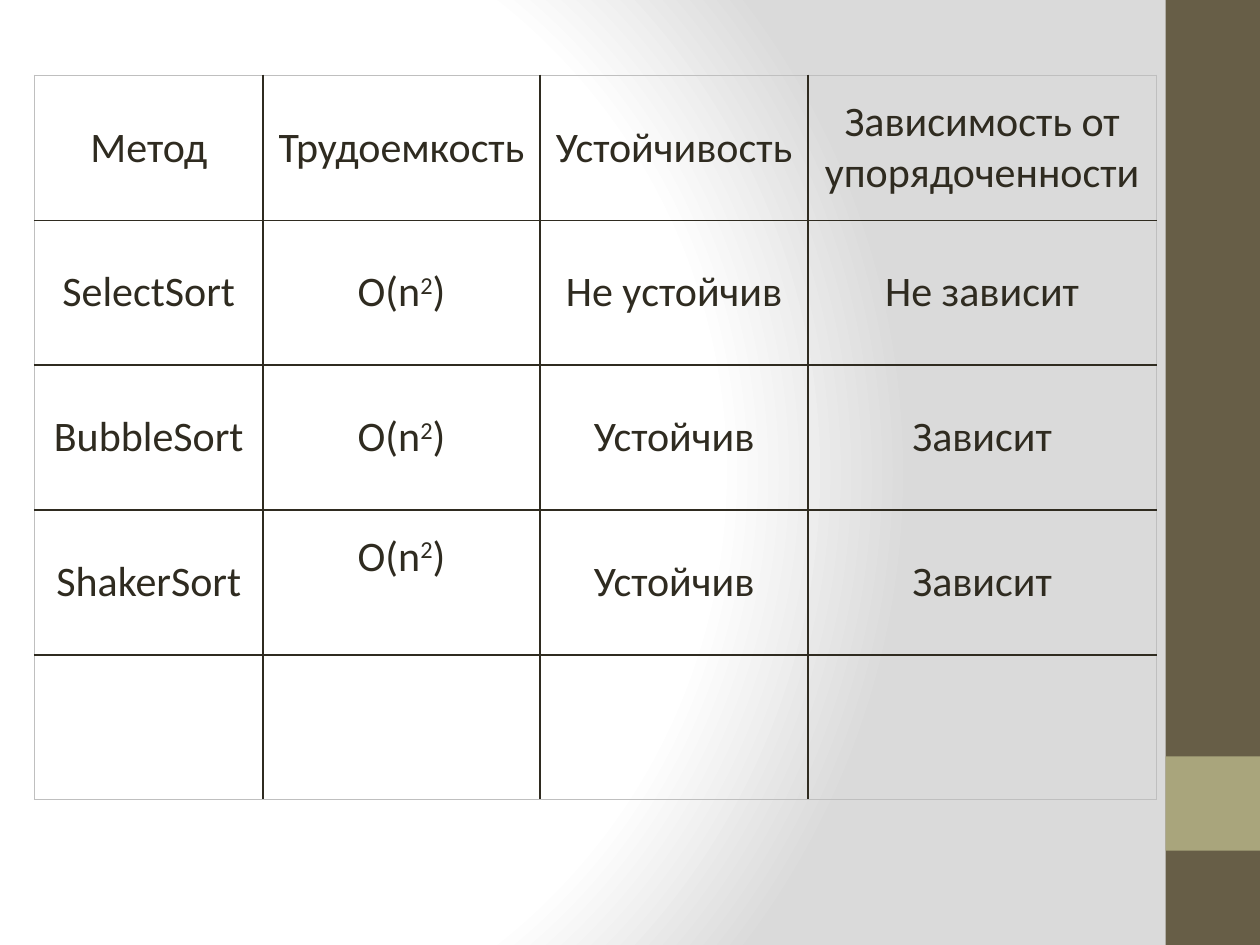
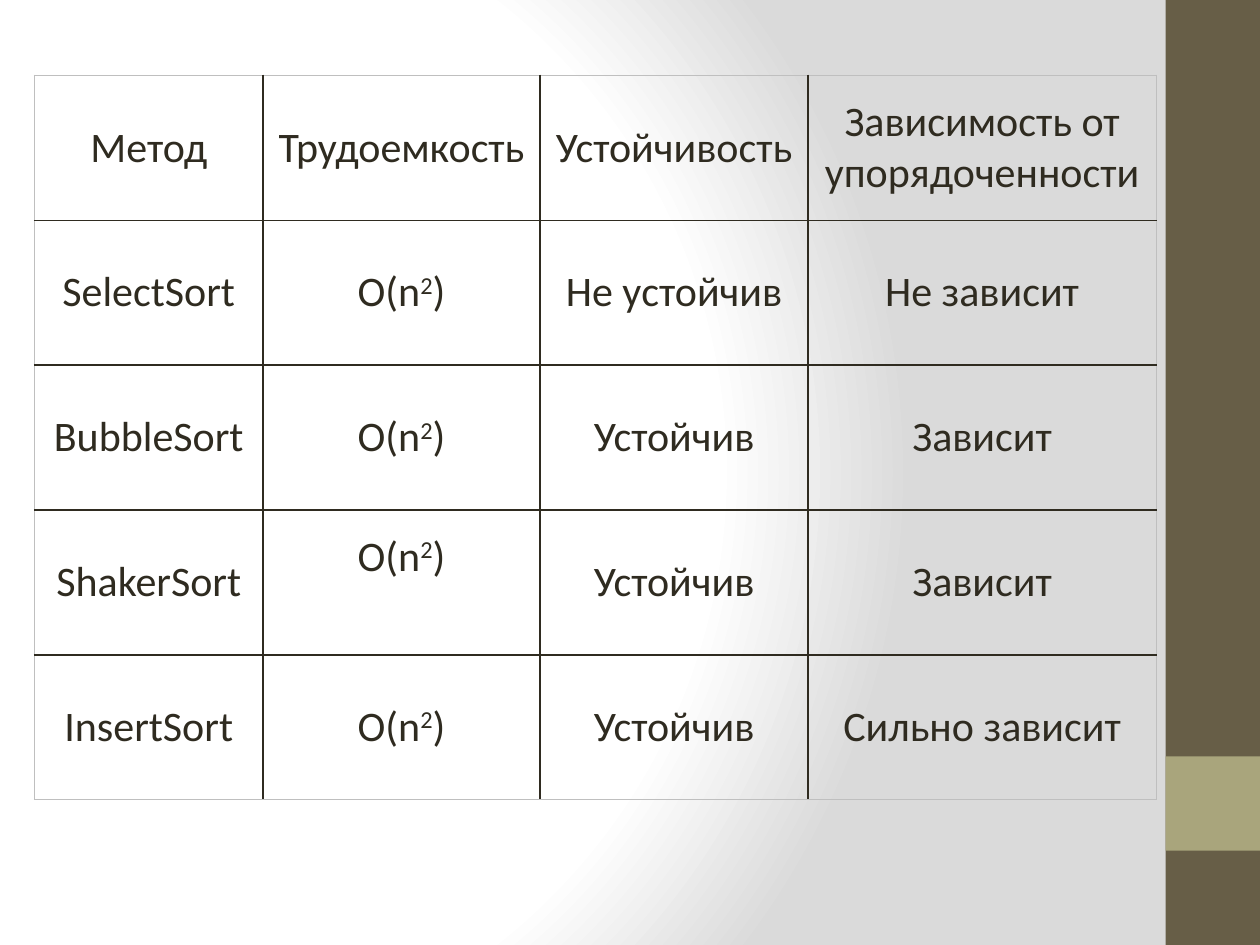
from dataclasses import dataclass

from lxml import etree
from pptx import Presentation
from pptx.dml.color import RGBColor
from pptx.enum import shapes, text
from pptx.oxml import parse_xml
from pptx.oxml.ns import nsdecls
from pptx.util import Cm, Pt


@dataclass(frozen=True)
class Theme:
    font: str = "Calibri"
    size: int = 24
    ink: str = "2F2B20"
    frame: str = "BFBFBF"
    band: str = "675E47"
    accent: str = "A9A57C"
    paper: str = "FFFFFF"
    shade: str = "DADADA"
    border_pt: float = 1


THEME = Theme()
WIDTH, HEIGHT = 25.4, 19.05  # slide, in cm
BAND_W = 1.9
TABLE_LEFT, TABLE_TOP = 0.7, 1.52
COLUMNS = (4.6, 5.59, 5.4, 7.02)
ROW_H = 2.92
RAISED_MARGIN = 1.15  # bottom margin that lifts a cell's text
NO_STYLE = "{2D5ABB26-0587-4C30-8999-92F81FD0307C}"

N_SQUARED = ("O(n", "2", ")")  # middle part is superscript
HEADER = ("Метод", "Трудоемкость", "Устойчивость", "Зависимость от упорядоченности")
SORTS = [
    ("SelectSort", N_SQUARED, "Не устойчив", "Не зависит"),
    ("BubbleSort", N_SQUARED, "Устойчив", "Зависит"),
    ("ShakerSort", N_SQUARED, "Устойчив", "Зависит"),
]
INSERT_SORT = ("InsertSort", N_SQUARED, "Устойчив", "Сильно зависит")
NOT_YET_SHOWN = ("",) * len(HEADER)
RAISED_CELL = (3, 1)


# Shared look, kept on the slide master
def set_background(master):
    master.background.fill.solid()
    bg_pr = master._element.cSld.bg.bgPr
    stops = ((0, THEME.paper), (75, THEME.paper), (100, THEME.shade))
    stop_xml = "".join(
        f'<a:gs pos="{pos * 1000}"><a:srgbClr val="{color}"/></a:gs>' for pos, color in stops)
    bg_pr.replace(bg_pr[0], parse_xml(
        f'<a:gradFill {nsdecls("a")} rotWithShape="1"><a:gsLst>{stop_xml}</a:gsLst>'
        '<a:path path="circle"><a:fillToRect l="20000" t="50000" r="100000" b="50000"/>'
        '</a:path></a:gradFill>'))


def add_band(master, s, top, height, color):
    """Draw a right-hand band and move it to the master."""
    sp = s.shapes.add_shape(shapes.MSO_SHAPE.RECTANGLE, Cm(WIDTH - BAND_W), Cm(top),
                            Cm(BAND_W), Cm(height))
    sp.shadow.inherit = False
    sp.fill.solid()
    sp.fill.fore_color.rgb = RGBColor.from_string(color)
    sp.line.fill.background()
    master.shapes._spTree.append(sp._element)


# Table parts
def write_cell(cell, parts):
    cell.vertical_anchor = text.MSO_ANCHOR.MIDDLE
    p = cell.text_frame.paragraphs[0]
    p.alignment = text.PP_ALIGN.CENTER
    for i, part in enumerate(parts):
        r = p.add_run()
        r.text = part
        r.font.name = THEME.font
        r.font.size = Pt(THEME.size)
        r.font.color.rgb = RGBColor.from_string(THEME.ink)
        if i == 1:
            r.font._element.set("baseline", "30000")


def set_borders(cell, outer):
    """Frame colour on outer sides, ink on inner ones."""
    tc_pr = cell._tc.get_or_add_tcPr()
    for i, side in enumerate("LRTB"):
        color = THEME.frame if side in outer else THEME.ink
        tc_pr.insert(i, parse_xml(
            f'<a:ln{side} {nsdecls("a")} w="{Pt(THEME.border_pt)}"><a:solidFill>'
            f'<a:srgbClr val="{color}"/></a:solidFill></a:ln{side}>'))


def add_sort_table(s, rows):
    frame = s.shapes.add_table(len(rows), len(COLUMNS), Cm(TABLE_LEFT), Cm(TABLE_TOP),
                               Cm(sum(COLUMNS)), Cm(ROW_H * len(rows)))
    table = frame.table
    table.first_row = table.horz_banding = False
    style = etree.QName(table._tbl.tblPr[0])
    table._tbl.tblPr.find(style.text).text = NO_STYLE
    for column, width in zip(table.columns, COLUMNS):
        column.width = Cm(width)
    for i, row in enumerate(rows):
        table.rows[i].height = Cm(ROW_H)
        for j, value in enumerate(row):
            cell = table.cell(i, j)
            cell.fill.background()
            edges = {"L": j == 0, "R": j == len(row) - 1, "T": i == 0, "B": i == len(rows) - 1}
            set_borders(cell, [side for side, is_outer in edges.items() if is_outer])
            if value:
                write_cell(cell, (value,) if isinstance(value, str) else value)
    table.cell(*RAISED_CELL).margin_bottom = Cm(RAISED_MARGIN)


def main():
    prs = Presentation()
    prs.slide_width, prs.slide_height = Cm(WIDTH), Cm(HEIGHT)
    blank = prs.slide_layouts[6]
    slides = [prs.slides.add_slide(blank) for _ in range(2)]

    # Background and bands
    master = prs.slide_master
    set_background(master)
    add_band(master, slides[0], 0, HEIGHT, THEME.band)
    add_band(master, slides[0], HEIGHT - 2 * BAND_W, BAND_W, THEME.accent)

    # The comparison, first without and then with the last method
    for s, last_row in zip(slides, (NOT_YET_SHOWN, INSERT_SORT)):
        add_sort_table(s, [HEADER, *SORTS, last_row])

    prs.save("out.pptx")


main()
